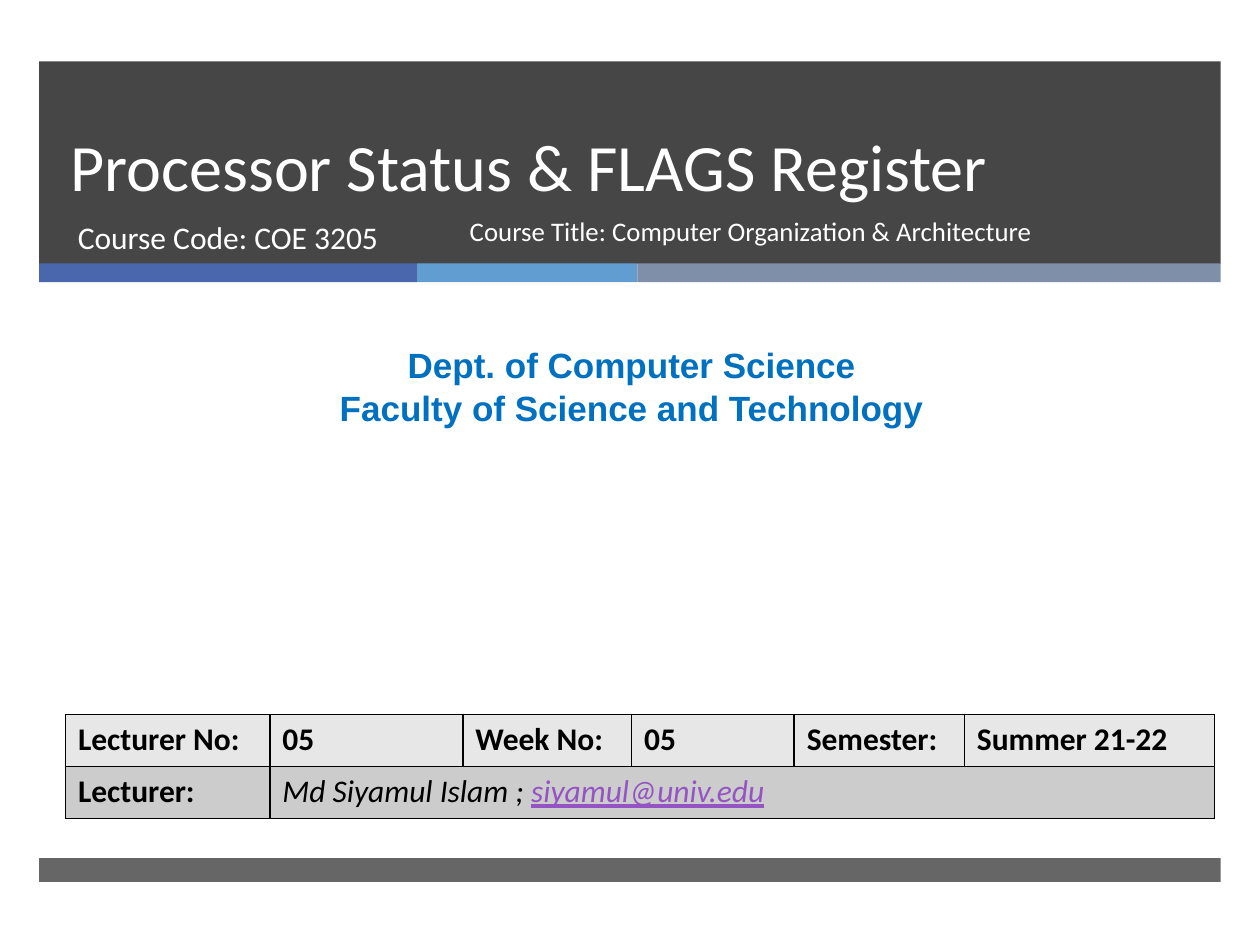
from lxml import etree
from pptx import Presentation
from pptx.dml.color import RGBColor
from pptx.enum.shapes import MSO_SHAPE
from pptx.enum.text import MSO_ANCHOR, PP_ALIGN
from pptx.oxml.ns import qn
from pptx.util import Cm, Pt

RECT = MSO_SHAPE.RECTANGLE
TOP, BOTTOM = MSO_ANCHOR.TOP, MSO_ANCHOR.BOTTOM
LEFT, CENTER = PP_ALIGN.LEFT, PP_ALIGN.CENTER
COLORS = {
    "dark": "262626", "blue": "4A66AC", "sky": "629DD1", "slate": "7F8FA9",
    "white": "FFFFFF", "dept": "0070C0", "black": "000000", "mail": "9454C3",
    "row1": "E7E7E7", "row2": "CCCCCC",
}


def rgb(name):
    return RGBColor.from_string(COLORS[name])


prs = Presentation()
prs.slide_width, prs.slide_height = Cm(25.4), Cm(19.05)
s = prs.slides.add_slide(prs.slide_layouts[6])

# Header panel, accent strip and footer bar: left, top, width, height, colour, opacity
bars = [
    (0.79, 1.24, 23.82, 4.08, "dark", 85),
    (0.79, 5.31, 7.62, 0.38, "blue", 100),
    (8.41, 5.31, 4.44, 0.38, "sky", 100),
    (12.85, 5.31, 11.76, 0.38, "slate", 100),
    (0.79, 17.3, 23.82, 0.48, "dark", 70),
]
for left, top, width, height, color, opacity in bars:
    sp = s.shapes.add_shape(RECT, Cm(left), Cm(top), Cm(width), Cm(height))
    sp.shadow.inherit = False
    sp.fill.solid()
    sp.fill.fore_color.rgb = rgb(color)
    sp.line.fill.background()
    if opacity < 100:
        clr = sp.fill._xPr.find(qn("a:solidFill"))[0]
        etree.SubElement(clr, qn("a:alpha"), val=str(opacity * 1000))

# Title, course details and department
texts = [
    ((1.17, 1.24, 21.69, 3.02), ["Processor Status & FLAGS Register"],
     "Calibri", 37.8, "white", False, LEFT, BOTTOM, Pt(46)),
    ((1.32, 4.27, 7.75, 1.35), ["Course Code: COE 3205"],
     "Calibri", 18, "white", False, LEFT, TOP, 1.0),
    ((9.22, 4.27, 11.91, 1.35), ["Course Title: Computer Organization & Architecture"],
     "Calibri", 15.3, "white", False, LEFT, TOP, 0.9),
    ((0.2, 6.81, 25.07, 1.96), ["Dept. of Computer Science", "Faculty of Science and Technology"],
     "Arial", 20, "dept", True, CENTER, TOP, 1.0),
]
for box, lines, font, size, color, bold, align, anchor, spacing in texts:
    tf = s.shapes.add_textbox(*map(Cm, box)).text_frame
    tf.word_wrap = True
    tf.vertical_anchor = anchor
    tf.text = "\n".join(lines)
    for p in tf.paragraphs:
        p.alignment = align
        p.line_spacing = spacing
        p.font.name, p.font.size, p.font.bold = font, Pt(size), bold
        p.font.color.rgb = rgb(color)

# Lecture table
widths = [4.12, 3.89, 3.4, 3.28, 3.43, 5.04]
rows = [
    ["Lecturer No:", "05", "Week No:", "05", "Semester:", "Summer 21-22"],
    ["Lecturer:"],
]
table = s.shapes.add_table(2, 6, Cm(1.32), Cm(14.4), Cm(sum(widths)), Cm(2.1)).table
for column, width in zip(table.columns, widths):
    column.width = Cm(width)
for row, labels, fill in zip(table.rows, rows, ("row1", "row2")):
    for cell, label in zip(row.cells, labels):
        p = cell.text_frame.paragraphs[0]
        p.text = label
        p.font.name, p.font.size, p.font.bold = "Calibri", Pt(18), True
        p.font.color.rgb = rgb("black")
    for cell in row.cells:
        tcPr = cell._tc.get_or_add_tcPr()
        for side in ("a:lnL", "a:lnR", "a:lnT", "a:lnB"):
            ln = etree.SubElement(tcPr, qn(side), w=str(Pt(1)))
            solid = etree.SubElement(ln, qn("a:solidFill"))
            etree.SubElement(solid, qn("a:srgbClr"), val=COLORS["black"])
        cell.fill.solid()
        cell.fill.fore_color.rgb = rgb(fill)

# Lecturer name and address across the remaining columns
lecturer = table.cell(1, 1)
lecturer.merge(table.cell(1, 5))
p = lecturer.text_frame.paragraphs[0]
for text, color, underline in [("Md Siyamul Islam ; ", "black", False),
                               ("siyamul@univ.edu", "mail", True)]:
    r = p.add_run()
    r.text = text
    r.font.name, r.font.size = "Calibri", Pt(18)
    r.font.bold, r.font.italic, r.font.underline = False, True, underline
    r.font.color.rgb = rgb(color)

prs.save("out.pptx")
